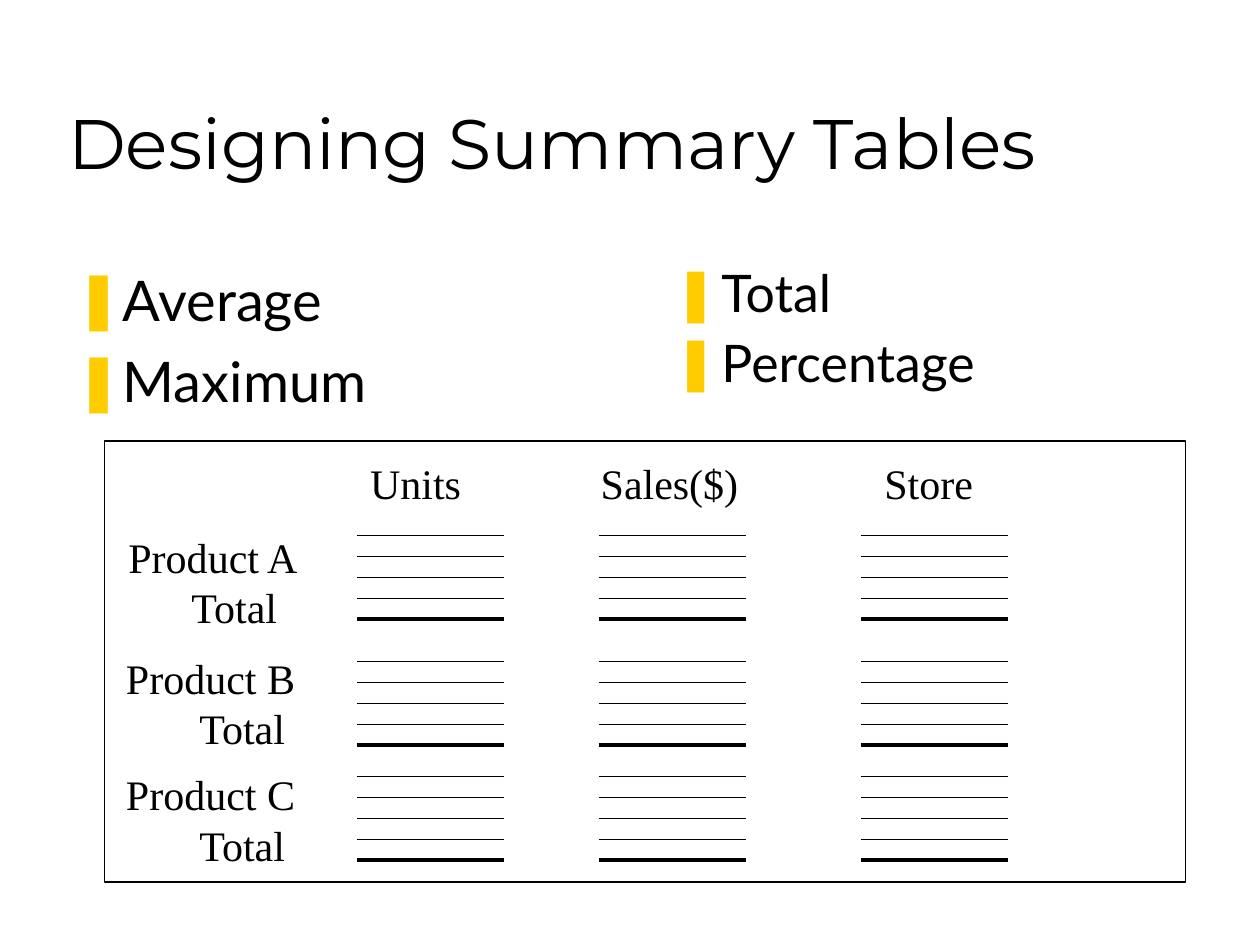
from lxml.etree import SubElement as Sub
from pptx import Presentation
from pptx.dml.color import RGBColor
from pptx.enum.shapes import MSO_CONNECTOR as Link, MSO_SHAPE as Shape
from pptx.enum.text import MSO_ANCHOR as Anchor, MSO_AUTO_SIZE as Fit, PP_ALIGN as Align
from pptx.oxml.ns import qn
from pptx.util import Cm, Pt

BLACK, GOLD = "000000", "FFCC00"
TITLE = ("Designing Summary Tables", (1.12, 0.64, 21.59, 3.18))
LISTS = [
    (["Average", "Maximum"], (1.27, 5.23, 6.99, 3.66), 32, 1.0),
    (["Total", "Percentage"], (13.34, 5.28, 7.42, 3.66), 29.6, 0.9),
]
FRAME = (2.11, 8.89, 21.79, 8.89)
HEADS = [("Units", 7.21, 2.34), ("Sales($)", 11.86, 3.28), ("Store", 17.58, 2.29)]
GROUPS = [
    ("Product A", (2.34, 10.59, 3.96, 2.29), 1.27),
    ("Product B", (2.29, 13.03, 3.91, 2.29), 1.48),
    ("Product C", (2.29, 15.37, 3.91, 2.29), 1.48),
]
COLS, ROWS = [7.2, 12.07, 17.36], [10.8, 13.34, 15.66]
RULES = [0.75] * 4 + [2.25]
WIDE, STEP = 2.96, 0.42


def rgb(code):
    return RGBColor.from_string(code)


def box(at):
    return [Cm(v) for v in at]


def place(shape, at):
    for name, val in zip(("left", "top", "width", "height"), box(at)):
        setattr(shape, name, val)


def write(shape, lines, font, size, wrap=True, **form):
    frame = shape.text_frame
    frame.text = "\n".join(lines)
    frame.auto_size, frame.word_wrap = Fit.NONE, wrap
    for para in frame.paragraphs:
        for name, val in form.items():
            setattr(para, name, val)
        style = {"name": font, "size": Pt(size)}
        for name, val in style.items():
            setattr(para.runs[0].font, name, val)
        para.runs[0].font.color.rgb = rgb(BLACK)
    return frame


def bullet(para):
    props = para._p.get_or_add_pPr()
    props.set("marL", str(Cm(0.95)))
    props.set("indent", str(-Cm(0.95)))
    Sub(Sub(props, qn("a:buClr")), qn("a:srgbClr"), val=GOLD)
    Sub(props, qn("a:buChar"), char="❚")


def label(slide, lines, at):
    text = slide.shapes.add_textbox(*box(at))
    return write(text, lines, "Times New Roman", 24, wrap=False)


def rule(slide, x, y, width):
    line = slide.shapes.add_connector(Link.STRAIGHT, *box((x, y, x + WIDE, y)))
    line.line.color.rgb, line.line.width = rgb(BLACK), Pt(width)
    Sub(line._element.spPr, qn("a:effectLst"))


def main():
    """Build the summary table slide."""
    deck = Presentation()
    deck.slide_width, deck.slide_height = Cm(25.4), Cm(19.05)
    slide = deck.slides.add_slide(deck.slide_layouts[3])
    title, *bodies = list(slide.placeholders)[:3]

    text, at = TITLE
    place(title, at)
    frame = write(title, [text], "Montserrat", 40, alignment=Align.LEFT)
    frame.vertical_anchor = Anchor.BOTTOM

    for body, (items, at, size, space) in zip(bodies, LISTS):
        place(body, at)
        frame = write(body, items, "Lato", size, space_before=Pt(8), line_spacing=space)
        for para in frame.paragraphs:
            bullet(para)

    for spare in list(slide.placeholders)[3:]:
        spare._element.getparent().remove(spare._element)

    panel = slide.shapes.add_shape(Shape.RECTANGLE, *box(FRAME))
    panel.shadow.inherit = False
    panel.fill.background()
    panel.line.color.rgb, panel.line.width = rgb(BLACK), Pt(0.75)

    for head, x, width in HEADS:
        label(slide, [head], (x, 9.1, width, 1.27))
    for name, at, inset in GROUPS:
        total = label(slide, [name, "Total"], at).paragraphs[1]
        total._p.get_or_add_pPr().set("marL", str(Cm(inset)))

    for x in COLS:
        for top in ROWS:
            for i, width in enumerate(RULES):
                rule(slide, x, top + i * STEP, width)

    deck.save("out.pptx")


if __name__ == "__main__":
    main()
